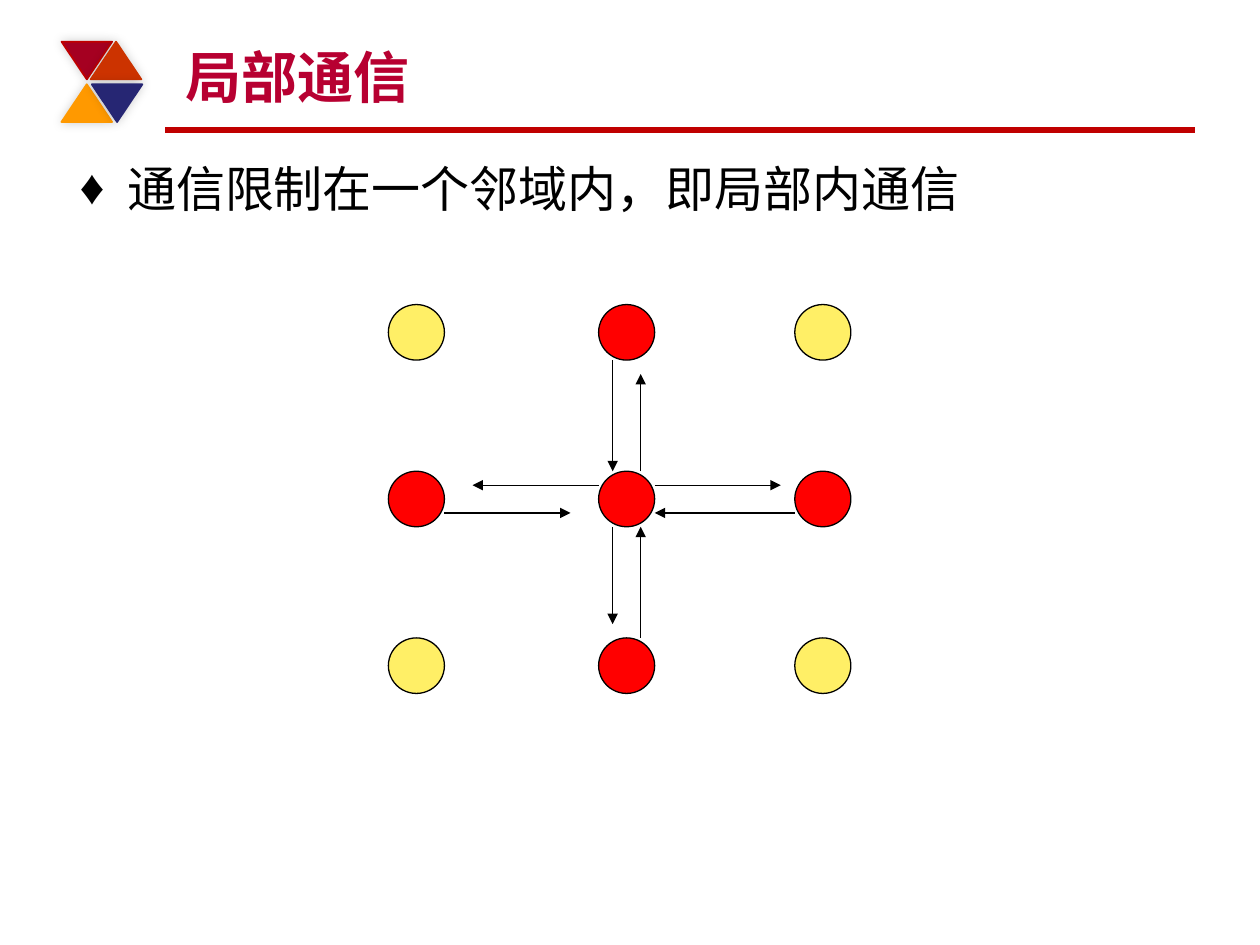
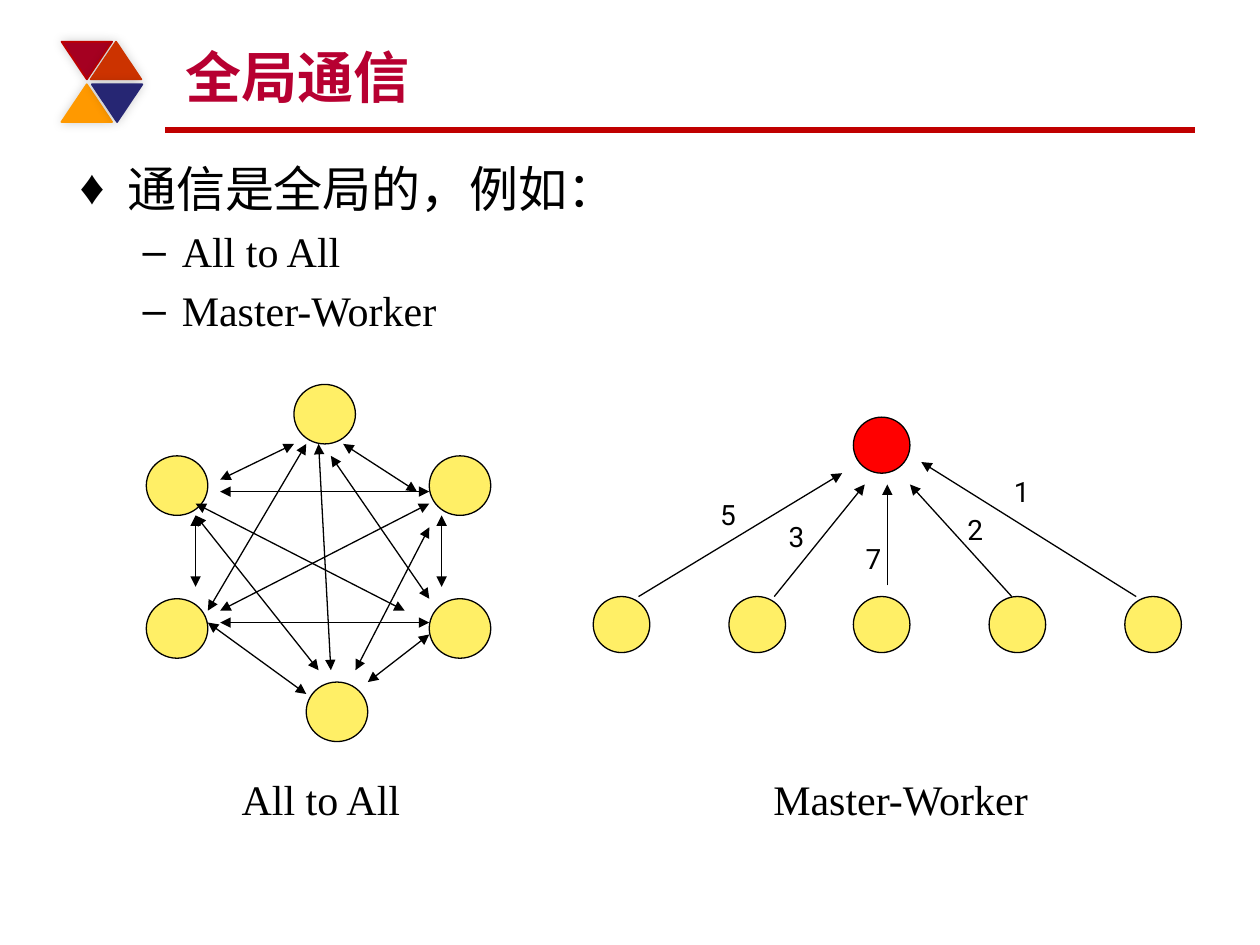
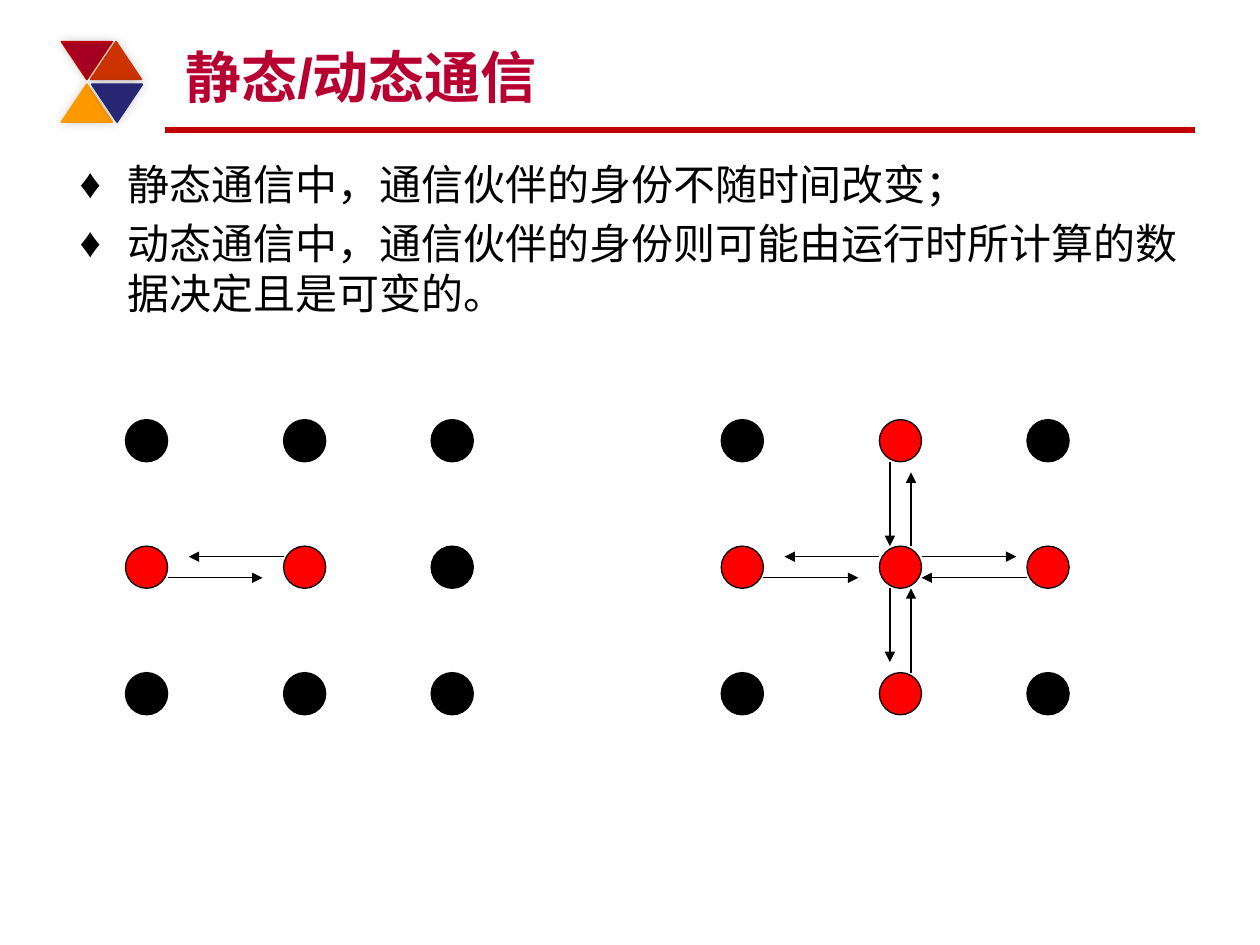
from dataclasses import dataclass

from lxml.etree import SubElement
from pptx import Presentation
from pptx.dml.color import RGBColor
from pptx.enum.shapes import MSO_CONNECTOR, MSO_SHAPE
from pptx.enum.text import MSO_ANCHOR, MSO_AUTO_SIZE, PP_ALIGN
from pptx.oxml.ns import qn
from pptx.util import Cm, Pt


@dataclass(frozen=True)
class Theme:
    title: str = "B70031"
    rule: str = "C00000"
    ink: str = "000000"
    active: str = "FF0000"
    idle: str = "FFEF66"
    heading_font: str = "Arial"
    latin_font: str = "Times New Roman"
    label_font: str = "Roboto"
    title_size: int = 32
    lead_size: int = 28
    text_size: int = 24
    label_size: int = 16
    rule_width: float = 3
    thin_width: float = 0.75


THEME = Theme()

TRIANGLES = [
    (1.24, 0.84, 180, "A50021", "C00000"),
    (1.83, 0.84, 0, "CC3300", "CC3300"),
    (1.24, 1.7, 0, "FF9900", "FF9900"),
    (1.85, 1.7, 180, "262673", "262673"),
]

BULLETS = [("♦", 0.96, -0.96), ("–", 2.06, -0.79)]

CROSS_COLUMNS = (0, 15, 29)
CROSS_ROWS = (0, 12, 24)
CROSS_CENTRE = {(1, 0), (0, 1), (1, 1), (2, 1), (1, 2)}
LEFT_EXCHANGE = [((15, 13), (6, 13)), ((4, 15), (13, 15))]
CROSS_EXCHANGE = LEFT_EXCHANGE + [
    ((18, 12), (18, 5)),
    ((16, 4), (16, 12)),
    ((19, 13), (28, 13)),
    ((29, 15), (19, 15)),
    ((16, 16), (16, 23)),
    ((18, 24), (18, 16)),
]

PEERS = [(0, 6), (0, 18), (13, 25), (23, 18), (23, 6), (12, 0)]
PEER_LINKS = [
    ((5, 19), (13, 5)),
    ((6, 19), (23, 10)),
    ((6, 20), (23, 20)),
    ((5, 20), (13, 26)),
    ((4, 17), (4, 11)),
    ((6, 8), (12, 5)),
    ((6, 9), (23, 9)),
    ((4, 10), (21, 19)),
    ((4, 11), (14, 24)),
    ((16, 5), (22, 9)),
    ((15, 6), (23, 18)),
    ((14, 5), (15, 24)),
    ((24, 11), (24, 17)),
    ((23, 21), (18, 25)),
    ((23, 12), (17, 24)),
]

MASTER = (23, 0)
WORKER_COLUMNS = (0, 12, 23, 35, 47)
WORKER_ROW = 16
WORKER_LINKS = [
    ((4, 16), (22, 5)),
    ((16, 16), (24, 6)),
    ((26, 15), (26, 6)),
    ((37, 16), (28, 6)),
    ((48, 16), (29, 4)),
]
WORKER_LABELS = [
    ("5", 14.27, 9.91),
    ("3", 15.65, 10.34),
    ("7", 17.2, 10.8),
    ("2", 19.25, 10.21),
    ("1", 20.19, 9.45),
]


@dataclass(frozen=True)
class Grid:
    left: float
    top: float
    node_width: float
    node_height: float
    steps_per_node: int

    def point(self, step):
        column, row = step
        return (
            Cm(self.left + column * self.node_width / self.steps_per_node),
            Cm(self.top + row * self.node_height / self.steps_per_node),
        )


def colour(value):
    return RGBColor.from_string(value)


def format_text(paragraph, font, size, ink=THEME.ink, bold=False):
    for run in paragraph.runs:
        run.font.name = font
        run.font.size = Pt(size)
        run.font.bold = bold
        run.font.color.rgb = colour(ink)


def add_filled(slide, preset, left, top, width, height, fill, outline, weight):
    figure = slide.shapes.add_shape(preset, left, top, width, height)
    figure.shadow.inherit = False
    figure.fill.solid()
    figure.fill.fore_color.rgb = colour(fill)
    figure.line.color.rgb = colour(outline)
    figure.line.width = Pt(weight)
    return figure


def add_line(slide, start, end, ink=THEME.ink, weight=THEME.thin_width, heads=()):
    link = slide.shapes.add_connector(MSO_CONNECTOR.STRAIGHT, *start, *end)
    link.line.color.rgb = colour(ink)
    link.line.width = Pt(weight)
    properties = link.element.spPr
    outline = properties.find(qn("a:ln"))
    for head in heads:
        SubElement(outline, qn(f"a:{head}"), type="triangle")
    SubElement(properties, qn("a:effectLst"))


def add_soft_shadow(figure):
    effects = figure.element.spPr.find(qn("a:effectLst"))
    shadow = SubElement(effects, qn("a:outerShdw"), blurRad=str(Pt(6)), dist="0",
                        dir="18900000", algn="ctr", rotWithShape="0")
    tint = SubElement(shadow, qn("a:srgbClr"), val=THEME.ink)
    SubElement(tint, qn("a:alpha"), val="20000")


def add_label(slide, text, left, top, width, height, font, size, level=0):
    label = slide.shapes.add_textbox(Cm(left), Cm(top), Cm(width), Cm(height))
    frame = label.text_frame
    frame.word_wrap = False
    frame.auto_size = MSO_AUTO_SIZE.SHAPE_TO_FIT_TEXT
    paragraph = frame.paragraphs[0]
    paragraph.text = text
    paragraph.level = level
    format_text(paragraph, font, size)


def add_node(slide, grid, step, fill):
    add_filled(slide, MSO_SHAPE.OVAL, *grid.point(step), Cm(grid.node_width),
               Cm(grid.node_height), fill, THEME.ink, THEME.thin_width)


def add_links(slide, grid, links, heads=("tailEnd",)):
    for start, end in links:
        add_line(slide, grid.point(start), grid.point(end), heads=heads)


def add_neighbourhood(slide, grid, active, idle_fill, exchange):
    for row, y in enumerate(CROSS_ROWS):
        for column, x in enumerate(CROSS_COLUMNS):
            fill = THEME.active if (column, row) in active else idle_fill
            add_node(slide, grid, (x, y), fill)
    add_links(slide, grid, exchange)


def add_all_to_all(slide):
    grid = Grid(2.95, 7.75, 1.24, 1.2, 5)
    for peer in PEERS:
        add_node(slide, grid, peer, THEME.idle)
    add_links(slide, grid, PEER_LINKS, heads=("headEnd", "tailEnd"))
    add_label(slide, "All to All", 3.35, 15.47, 5.03, 1.3,
              THEME.latin_font, THEME.text_size, level=1)


def add_master_worker(slide):
    grid = Grid(11.96, 8.41, 1.14, 1.13, 5)
    add_node(slide, grid, MASTER, THEME.active)
    for column in WORKER_COLUMNS:
        add_node(slide, grid, (column, WORKER_ROW), THEME.idle)
    add_links(slide, grid, WORKER_LINKS)
    for text, left, top in WORKER_LABELS:
        add_label(slide, text, left, top, 0.89, 0.99,
                  THEME.label_font, THEME.label_size)
    add_label(slide, "Master-Worker", 14.07, 15.47, 6.99, 1.3,
              THEME.latin_font, THEME.text_size, level=1)


def place(placeholder, left, top, width, height):
    placeholder.left, placeholder.top = Cm(left), Cm(top)
    placeholder.width, placeholder.height = Cm(width), Cm(height)


def decorate_layout(layout, slide):
    title, body = layout.placeholders[0], layout.placeholders[1]
    place(title, 3.48, 0.64, 20.32, 1.7)
    place(body, 1.35, 3.07, 22.73, 15.11)
    add_line(slide, (Cm(3.33), Cm(2.62)), (Cm(24.08), Cm(2.62)),
             THEME.rule, THEME.rule_width)
    for left, top, turn, fill, outline in TRIANGLES:
        triangle = add_filled(slide, MSO_SHAPE.ISOSCELES_TRIANGLE, Cm(left), Cm(top),
                              Cm(1.02), Cm(0.76), fill, outline, 1)
        triangle.rotation = turn
        add_soft_shadow(triangle)
    decorations = [item for item in slide.shapes if not item.is_placeholder]
    for number, decoration in enumerate(decorations, start=20):
        next(decoration.element.iter(qn("p:cNvPr"))).set("id", str(number))
        layout.shapes.element.append(decoration.element)


def fill_title(slide, text):
    frame = slide.shapes.title.text_frame
    frame.text = text
    frame.vertical_anchor = MSO_ANCHOR.BOTTOM
    frame.auto_size = MSO_AUTO_SIZE.NONE
    heading = frame.paragraphs[0]
    heading.alignment = PP_ALIGN.LEFT
    format_text(heading, THEME.heading_font, THEME.title_size, THEME.title, bold=True)


def fill_body(slide, lines):
    body = slide.placeholders[1]
    frame = body.text_frame
    frame.text = "\n".join(text for text, level, font, size in lines)
    frame.auto_size = MSO_AUTO_SIZE.NONE
    elements = body.element.iter(qn("a:p"))
    for paragraph, element, line in zip(frame.paragraphs, elements, lines):
        text, level, font, size = line
        paragraph.level = level
        format_text(paragraph, font, size)
        mark, margin, indent = BULLETS[level]
        properties = element.get_or_add_pPr()
        properties.set("marL", str(Cm(margin)))
        properties.set("indent", str(Cm(indent)))
        SubElement(properties, qn("a:buChar"), char=mark)


def fill_local(slide):
    fill_title(slide, "局部通信")
    fill_body(slide, [
        ("通信限制在一个邻域内，即局部内通信", 0, THEME.heading_font, THEME.lead_size),
    ])
    add_neighbourhood(slide, Grid(7.83, 6.14, 1.13, 1.12, 4),
                      CROSS_CENTRE, THEME.idle, CROSS_EXCHANGE)


def fill_global(slide):
    fill_title(slide, "全局通信")
    fill_body(slide, [
        ("通信是全局的，例如：", 0, THEME.heading_font, THEME.lead_size),
        ("All to All", 1, THEME.latin_font, THEME.text_size),
        ("Master-Worker", 1, THEME.latin_font, THEME.text_size),
    ])
    add_all_to_all(slide)
    add_master_worker(slide)


def fill_static_dynamic(slide):
    fill_title(slide, "静态/动态通信")
    fill_body(slide, [
        ("静态通信中，通信伙伴的身份不随时间改变；", 0,
         THEME.heading_font, THEME.text_size),
        ("动态通信中，通信伙伴的身份则可能由运行时所计算的数据决定且是可变的。", 0,
         THEME.heading_font, THEME.text_size),
    ])
    add_neighbourhood(slide, Grid(2.53, 8.46, 0.85, 0.85, 4),
                      {(0, 1), (1, 1)}, THEME.ink, LEFT_EXCHANGE)
    add_neighbourhood(slide, Grid(14.54, 8.46, 0.85, 0.85, 4),
                      CROSS_CENTRE, THEME.ink, CROSS_EXCHANGE)


def main():
    deck = Presentation()
    deck.slide_width, deck.slide_height = Cm(25.4), Cm(19.05)
    layout = deck.slide_layouts[1]
    fillers = (fill_local, fill_global, fill_static_dynamic)
    slides = [deck.slides.add_slide(layout) for _ in fillers]
    decorate_layout(layout, slides[0])
    for slide, fill in zip(slides, fillers):
        fill(slide)
    deck.save("out.pptx")


if __name__ == "__main__":
    main()
